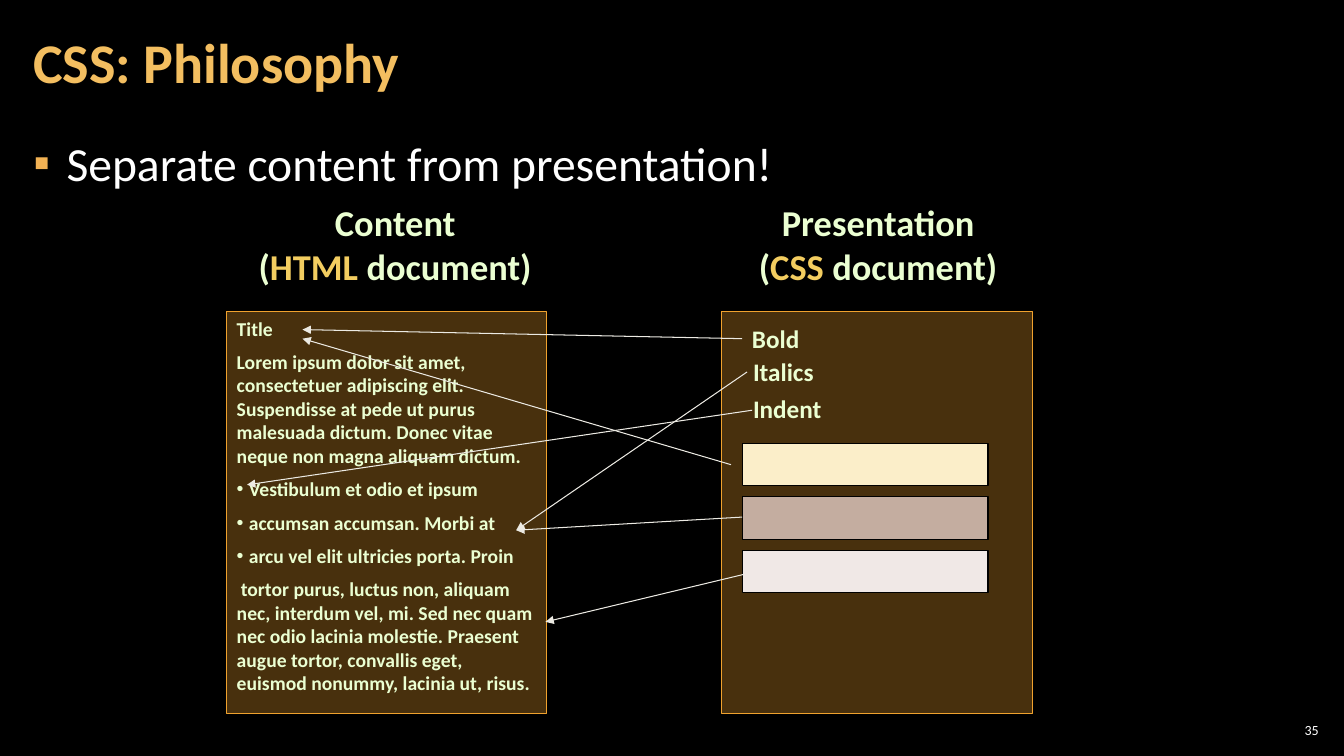
from lxml import etree
from pptx import Presentation
from pptx.dml.color import RGBColor
from pptx.enum.shapes import MSO_CONNECTOR, MSO_SHAPE
from pptx.enum.text import MSO_ANCHOR, PP_ALIGN
from pptx.oxml.ns import qn
from pptx.util import Inches, Pt

RECT = MSO_SHAPE.RECTANGLE
STRAIGHT = MSO_CONNECTOR.STRAIGHT
TOP, MIDDLE = MSO_ANCHOR.TOP, MSO_ANCHOR.MIDDLE
LEFT, CENTER, RIGHT = PP_ALIGN.LEFT, PP_ALIGN.CENTER, PP_ALIGN.RIGHT

FONT = "Calibri"
BLACK, WHITE = "000000", "FFFFFF"
ORANGE, GOLD, MINT, ARROW = "F0A22E", "F3CD60", "EBFFD2", "ECEAE3"
INSETS = (0.1, 0.05)


def rgb(value):
    return RGBColor.from_string(value)


def child(parent, tag, **attributes):
    return etree.SubElement(parent, qn(tag), attributes)


class SlideBuilder:
    """Draws styled elements on the current slide."""

    def __init__(self, slide, font):
        self.s = slide
        self.font = font
        fill = slide.background.fill
        fill.solid()
        fill.fore_color.rgb = rgb(BLACK)

    def box(self, x, y, w, h, fill, line, alpha=None):
        sp = self.s.shapes.add_shape(RECT, Inches(x), Inches(y), Inches(w), Inches(h))
        sp.shadow.inherit = False
        sp.fill.solid()
        sp.fill.fore_color.rgb = rgb(fill)
        if alpha:
            color = sp.fill._xPr.find(qn("a:solidFill"))[0]
            child(color, "a:alpha", val=str(alpha * 1000))
        sp.line.color.rgb = rgb(line)
        sp.line.width = Pt(0.75)
        return sp

    def frame(self, sp, insets=INSETS, anchor=TOP, wrap=True):
        tf = sp.text_frame
        tf.word_wrap = wrap
        tf.vertical_anchor = anchor
        tf.margin_left = tf.margin_right = Inches(insets[0])
        tf.margin_top = tf.margin_bottom = Inches(insets[1])
        return tf

    def text(self, x, y, w, h, **options):
        sp = self.s.shapes.add_textbox(Inches(x), Inches(y), Inches(w), Inches(h))
        return self.frame(sp, **options)

    def paragraph(self, tf, runs, size, bold=False, align=LEFT, before=0,
                  after=0, spacing=1.0):
        first = tf.paragraphs[0]
        p = tf.add_paragraph() if first.runs else first
        p.alignment = align
        p.line_spacing = spacing
        p.space_before = Pt(before)
        p.space_after = Pt(after)
        for words, color in runs:
            r = p.add_run()
            r.text = words
            r.font.name = self.font
            r.font.size = Pt(size)
            r.font.bold = bold
            r.font.color.rgb = rgb(color)
        return p

    def indent(self, p, left, first):
        pPr = p._p.get_or_add_pPr()
        pPr.set("marL", str(Inches(left)))
        pPr.set("indent", str(Inches(first)))
        return pPr

    def bullet(self, p, char, hang, color):
        pPr = self.indent(p, hang, -hang)
        child(child(pPr, "a:buClr"), "a:srgbClr", val=color)
        child(pPr, "a:buFont", typeface="Arial")
        child(pPr, "a:buChar", char=char)

    def arrow(self, start, end):
        x1, y1, x2, y2 = (Inches(v) for v in start + end)
        sp = self.s.shapes.add_connector(STRAIGHT, x1, y1, x2, y2)
        sp.line.color.rgb = rgb(ARROW)
        sp.line.width = Pt(0.75)
        child(sp.line._get_or_add_ln(), "a:tailEnd", type="triangle")
        child(sp._element.spPr, "a:effectLst")


def add_html_document(b):
    panel = b.box(2.25, 3.09, 3.17, 3.99, ORANGE, ORANGE, alpha=30)
    tf = b.frame(panel)
    b.paragraph(tf, [("Title", MINT)], 14, True)
    b.paragraph(tf, [("Lorem ipsum dolor sit amet, consectetuer adipiscing elit. "
                      "Suspendisse at pede ut purus malesuada dictum. Donec vitae "
                      "neque non magna aliquam dictum.", MINT)], 14, True, before=7)
    for item in ("Vestibulum et odio et ipsum", "accumsan accumsan. Morbi at",
                 "arcu vel elit ultricies porta. Proin"):
        p = b.paragraph(tf, [(item, MINT)], 14, True, before=7)
        b.bullet(p, "•", 0.12, MINT)
    p = b.paragraph(tf, [("tortor purus, luctus non, aliquam nec, interdum vel, mi. "
                          "Sed nec quam nec odio lacinia molestie. Praesent augue "
                          "tortor, convallis eget, euismod nonummy, lacinia ut, "
                          "risus.", MINT)], 14, True, before=7)
    b.indent(p, 0, 0.04)


def add_css_document(b):
    b.box(7.16, 3.09, 3.08, 3.99, ORANGE, ORANGE, alpha=30)
    for i, color in enumerate(("FBEEC9", "C4ADA0", "F0E8E6")):
        b.box(7.36, 4.4 + 0.53 * i, 2.44, 0.42, color, BLACK)
    for label, x, y, w in (("Bold", 7.36, 3.16, 0.68), ("Italics", 7.37, 3.49, 0.81),
                           ("Indent", 7.37, 3.85, 0.89)):
        tf = b.text(x, y, w, 0.4, wrap=False)
        b.paragraph(tf, [(label, MINT)], 18, True)


def main():
    prs = Presentation()
    prs.slide_width, prs.slide_height = Inches(13.33), Inches(7.5)
    b = SlideBuilder(prs.slides.add_slide(prs.slide_layouts[6]), FONT)

    tf = b.text(0.21, 0.04, 10.47, 1.21, insets=(0.12, 0.04), anchor=MIDDLE)
    b.paragraph(tf, [("CSS: Philosophy", "F3BE60")], 40, True, spacing=0.9)
    tf = b.text(0.21, 1.26, 12.91, 6.09, insets=(0.12, 0.04))
    p = b.paragraph(tf, [("Separate content from presentation!", WHITE)], 34,
                    after=6, spacing=1.05)
    b.bullet(p, "▪", 0.33, "F2B254")
    tf = b.text(12.65, 7.14, 0.47, 0.21, insets=(0.04, 0.04), anchor=MIDDLE)
    b.paragraph(tf, [("35", WHITE)], 10, align=RIGHT)

    add_html_document(b)
    add_css_document(b)

    for heading, language, x, w in (("Content", "HTML", 2.45, 2.94),
                                    ("Presentation", "CSS", 7.4, 2.62)):
        tf = b.text(x, 1.94, w, 0.98, wrap=False)
        b.paragraph(tf, [(heading, MINT)], 26, True, CENTER)
        b.paragraph(tf, [("(", MINT), (language, GOLD), (" document)", MINT)],
                    26, True, CENTER)

    for start, end in (((7.36, 3.36), (3, 3.27)), ((7.41, 3.69), (5.12, 5.26)),
                       ((7.46, 4.07), (2.45, 4.81)), ((7.36, 5.13), (5.12, 5.26)),
                       ((7.37, 5.7), (5.41, 6.17)), ((7.25, 4.61), (3, 3.36))):
        b.arrow(start, end)

    prs.save("out.pptx")


if __name__ == "__main__":
    main()
